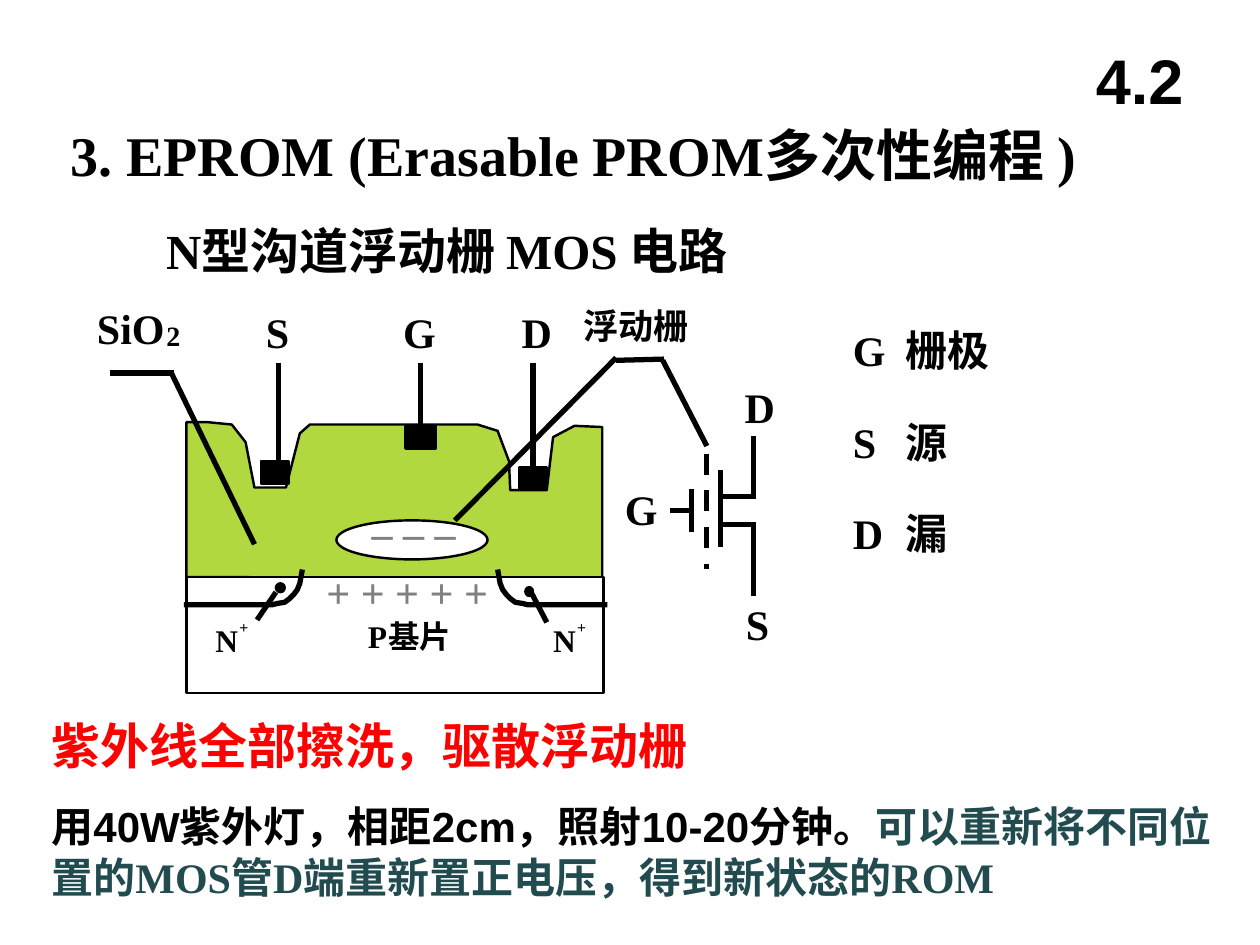
from dataclasses import dataclass
from lxml.etree import SubElement as Sub
from pptx import Presentation
from pptx.dml.color import RGBColor as RGB
from pptx.enum.dml import MSO_LINE as Dash
from pptx.enum.shapes import MSO_CONNECTOR as Conn, MSO_SHAPE as Kind
from pptx.enum.text import MSO_ANCHOR as Anchor, MSO_AUTO_SIZE as Fit, PP_ALIGN as Align
from pptx.oxml.ns import qn
from pptx.util import Inches, Pt


@dataclass(frozen=True)
class Theme:
    black: str = "000000"
    white: str = "FFFFFF"
    red: str = "FF0000"
    teal: str = "224B50"
    gray: str = "808080"
    oxide: str = "99CC00"
    serif: str = "Times New Roman"
    sans: str = "Arial"
    han: str = "Noto Sans CJK SC"
    page: int = 36
    title: int = 32
    head: int = 28
    body: int = 24
    note: int = 20
    small: int = 18
    sub: int = 16
    sup: int = 9
    thin: float = 1.39
    bold: float = 3


T = Theme()
COLS, ROWS = 100, 75


def cell(n):
    """Length of n grid cells; the slide is COLS by ROWS cells."""
    return Inches(10 * n / COLS)


def style(font, size=None, color=None, face=None):
    font.bold = True
    if size:
        font.size = Pt(size)
    if color:
        font.color.rgb = RGB.from_string(color)
    if face:
        font.name = face


def box(shapes, spot, inset=(1, 0.5), wrap=True, fit=Fit.SHAPE_TO_FIT_TEXT):
    frame = shapes.add_textbox(*map(cell, spot)).text_frame
    frame.margin_left = frame.margin_right = cell(inset[0])
    frame.margin_top = frame.margin_bottom = cell(inset[1])
    frame.word_wrap = wrap
    frame.auto_size = fit
    return frame


def text(shapes, spot, words, size=T.body, color=T.black, face=T.serif, **opts):
    frame = box(shapes, spot, **opts)
    para = frame.paragraphs[0]
    para.text = words
    style(para.font, size, color, face)
    return frame


def label(shapes, spot, words, size=T.body, face=T.serif):
    text(shapes, spot, words, size, face=face, inset=(0, 0), wrap=False)


def paint(shape, fill=None, line=T.thin):
    shape.shadow.inherit = False
    if fill:
        shape.fill.solid()
        shape.fill.fore_color.rgb = RGB.from_string(fill)
    else:
        shape.fill.background()
    if line:
        shape.line.color.rgb = RGB.from_string(T.black)
        shape.line.width = Pt(line)
    else:
        shape.line.fill.background()


def solid(shapes, kind, spot, fill=T.black):
    shape = shapes.add_shape(kind, *map(cell, spot))
    paint(shape, fill)
    return shape


def outline(shapes, points, closed=False, **look):
    dots = [(cell(x), cell(y)) for x, y in points]
    pen = shapes.build_freeform(*dots[0])
    pen.add_line_segments(dots[1:], close=closed)
    shape = pen.convert_to_shape()
    paint(shape, **look)
    return shape


def wire(shapes, ends):
    line = shapes.add_connector(Conn.STRAIGHT, *map(cell, ends))
    line.line.color.rgb = RGB.from_string(T.black)
    line.line.width = Pt(T.bold)
    Sub(line._element.spPr, qn("a:effectLst"))
    return line


def oxide(shapes):
    """Two half-clear layers, only the upper one with an edge."""
    edge = [(14.8, 45.8), (14.8, 33.5), (16.4, 33.5), (18.4, 33.7), (19.5, 35.1),
            (20.2, 38.7), (22.7, 38.7), (23.8, 34.4), (24.6, 33.7), (37.9, 33.7),
            (39.5, 34.2), (40.4, 36.6), (40.5, 38.9), (43.4, 38.9), (43.9, 34.7),
            (45.6, 33.8), (47.8, 33.9), (47.8, 45.9)]
    for line in (None, T.thin):
        layer = outline(shapes, edge, True, fill=T.oxide, line=line)
        tint = layer._element.spPr.find(qn("a:solidFill"))[0]
        Sub(tint, qn("a:alpha"), val="50000")


def wells(shapes):
    bend = [(0, 0), (0.2, 1.1), (0.4, 1.6), (0.7, 2), (1, 2.3), (1.4, 2.6),
            (2, 2.7), (2.4, 2.8), (2.9, 2.8)]
    for left, sign, size in ((24, -1, 9.4), (39.5, 1, 8.7)):
        outline(shapes, [(left + sign * x, 45.2 + y) for x, y in bend + [(size, 2.8)]],
                line=T.bold)
    for spot, ends in (((21.9, 46.3, 0.7, 0.7), (21.9, 47, 20.4, 49.2)),
                       ((41.7, 46.6, 0.6, 0.7), (42.1, 46.9, 43.4, 49.4))):
        solid(shapes, Kind.OVAL, spot)
        wire(shapes, ends)
    for x in (17.1, 43.9):
        label(shapes, (x, 49.3, 1.8, 3), "N", T.small)
        label(shapes, (x + 1.9, 49, 0.7, 1.5), "+", T.sup)


def leads(shapes):
    """Contacts S, G and D with their wires."""
    for name, left, x, spot in (("S", 21.1, 22.1, (20.7, 36.6, 2.2, 1.8)),
                                ("G", 32, 33.4, (32.2, 33.8, 2.4, 1.8)),
                                ("D", 41.4, 42.3, (41.2, 37.1, 2.2, 1.8))):
        pad = solid(shapes, Kind.RECTANGLE, spot)
        line = wire(shapes, (x, 28.8, x, spot[1] + 0.3))
        if name != "S":
            line.end_connect(pad, 0)
        label(shapes, (left, 24.3, 2.4, 4), name)


def symbol(shapes):
    for ends in ((53.2, 40.5, 54.7, 40.5), (54.9, 38.8, 54.9, 42.2),
                 (57.2, 37.3, 57.2, 43.4), (57.2, 39.4, 60, 39.4),
                 (59.8, 39.5, 59.8, 34.6), (57.2, 41.6, 60, 41.6),
                 (59.8, 41.5, 59.8, 47.3)):
        wire(shapes, ends)
    wire(shapes, (56.1, 36, 56.1, 45.2)).line.dash_style = Dash.DASH
    for name, x, y in (("G", 49.6, 38.4), ("D", 59.1, 30.3), ("S", 59.2, 47.5)):
        label(shapes, (x, y, 2.4, 4), name)


def diagram(shapes):
    oxide(shapes)
    solid(shapes, Kind.OVAL, (26.7, 41.3, 12, 3.1), T.white)
    solid(shapes, Kind.RECTANGLE, (14.8, 45.8, 33.1, 9.2), T.white)
    wells(shapes)
    leads(shapes)
    label(shapes, (29.2, 49, 1.5, 3), "P", T.small)
    label(shapes, (30.8, 49, 5, 3), "基片", T.small, T.han)
    label(shapes, (46.3, 24.2, 8.4, 3.3), "浮动栅", T.note, T.han)
    label(shapes, (7.7, 24, 5.4, 4), "SiO")
    label(shapes, (13.2, 25.3, 1.1, 2.7), "2", T.sub)
    for spot, signs in (((25.7, 44.5, 14.2, 5), "+ + + + +"),
                        ((29.3, 38.6, 9.3, 5), "_ _ _")):
        text(shapes, spot, signs, color=T.gray, inset=(0.2, 0.5))
    for ends in ((8.7, 29.6, 13.8, 29.6), (13.6, 29.6, 20.2, 43.2),
                 (48.9, 28.6, 52.7, 28.5), (52.6, 28.6, 56.1, 35.4),
                 (48.9, 28.4, 36.1, 41.3)):
        wire(shapes, ends)
    symbol(shapes)


def legend(shapes):
    for row, words in enumerate(("G\t栅极", "S\t源", "D\t漏")):
        frame = box(shapes, (66.7, 25.3 + 7.25 * row, 26.7, 5))
        para = frame.paragraphs[0]
        para.text = words
        tabs = Sub(para._p.get_or_add_pPr(), qn("a:tabLst"))
        Sub(tabs, qn("a:tab"), pos=str(cell(4.2)), algn="l")
        style(para.font, T.body, T.black, T.serif)


def notes(shapes):
    frame = text(shapes, (3.1, 56.3, 94.5, 15.8), "紫外线全部擦洗，驱散浮动栅", T.head, T.red)
    para = frame.add_paragraph()
    para.space_before = Pt(15)
    style(para.font, T.body)
    for words, color, face in (
            ("用40W紫外灯，相距2cm，照射10-20分钟。", T.black, T.sans),
            ("可以重新将不同位置的MOS管D端重新置正电压，得到新状态的ROM", T.teal, T.serif)):
        run = para.add_run()
        run.text = words
        style(run.font, T.body, color, face)


def main():
    deck = Presentation()
    deck.slide_width, deck.slide_height = cell(COLS), cell(ROWS)
    shapes = deck.slides.add_slide(deck.slide_layouts[6]).shapes
    text(shapes, (12.2, 17, 57.5, 5.7), "N型沟道浮动栅 MOS 电路", T.head)
    legend(shapes.add_group_shape().shapes)
    notes(shapes)
    diagram(shapes.add_group_shape().shapes)
    page = text(shapes, (84.2, 1.7, 12.5, 9.2), "4.2", T.page, face=T.sans, fit=Fit.NONE)
    page.vertical_anchor = Anchor.MIDDLE
    page.paragraphs[0].alignment = Align.CENTER
    text(shapes, (4.6, 9.1, 86.3, 6.4), "3. EPROM (Erasable PROM多次性编程 )", T.title)
    deck.save("out.pptx")


if __name__ == "__main__":
    main()
